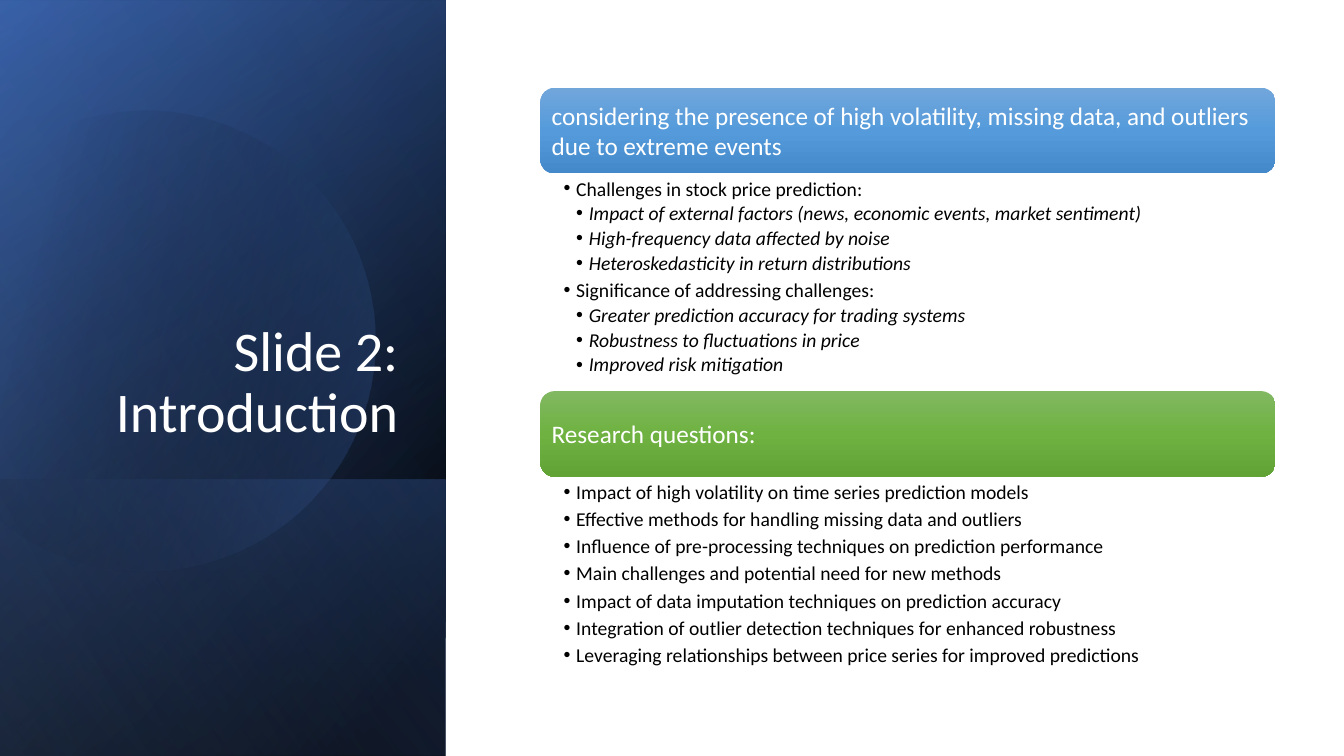
import math
from dataclasses import dataclass
from typing import NamedTuple, Optional

from lxml import etree
from pptx import Presentation, util as u
from pptx.dml.color import RGBColor
from pptx.enum import shapes, text
from pptx.oxml import ns

FONT = "Calibri"
BLACK = RGBColor(0x00, 0x00, 0x00)
WHITE = RGBColor(0xFF, 0xFF, 0xFF)
NAVY = RGBColor(0x2F, 0x55, 0x97)
BLUE = RGBColor(0x44, 0x72, 0xC4)
PALE_BLUE = RGBColor(0x8F, 0xAA, 0xDC)
SKY = (RGBColor(0x71, 0xA6, 0xDB), RGBColor(0x55, 0x9B, 0xDB), RGBColor(0x44, 0x8A, 0xCA))
GREEN = (RGBColor(0x81, 0xB8, 0x61), RGBColor(0x6F, 0xB2, 0x42), RGBColor(0x62, 0xA3, 0x36))
SECTION_X, SECTION_W, HEADING_H = 5.36, 7.29, 0.85


class Stop(NamedTuple):
    """Gradient stop: position and opacity in percent."""
    pos: int
    color: RGBColor
    opacity: int = 100


@dataclass
class Panel:
    """Layer of the left panel, a rectangle turned by 90 degrees."""
    x: float
    y: float
    w: float
    angle: int
    stops: tuple[Stop, ...]


@dataclass
class Section:
    """Coloured heading with the list under it."""
    top: float
    list_h: float
    colors: tuple[RGBColor, ...]
    heading: str
    items: tuple[tuple[int, str], ...]


PANELS = (
    Panel(-1.54, 1.54, 7.5, 50, (Stop(8, BLACK), Stop(100, NAVY))),
    Panel(-1.54, 1.55, 7.5, 30, (Stop(0, BLACK, 0), Stop(99, BLUE, 46))),
    Panel(0.84, 3.92, 2.74, 130, (Stop(2, BLUE, 29), Stop(100, BLACK, 30))),
)
VEIL = Panel(-1.54, 1.54, 7.5, 120, (Stop(0, BLACK, 0), Stop(99, PALE_BLUE, 11)))

DISC_TURN = 343.9
DISC_CENTER = (1.585, 3.345)
DISC_START = (1.49, 1.1)
# Each segment is a line (one point) or a cubic curve (three points).
DISC_SEGMENTS = (
    ((2.46, 1.12), (3.35, 1.77), (3.63, 2.75)),
    ((3.98, 3.97), (3.28, 5.23), (2.07, 5.58)),
    ((1.31, 5.8), (0.53, 5.61), (-0.03, 5.14)),
    ((-0.15, 5.03),),
    ((-0.15, 1.75),),
    ((0, 1.61),),
    ((0.23, 1.42), (0.5, 1.28), (0.8, 1.19)),
    ((1.03, 1.13), (1.26, 1.1), (1.49, 1.1)),
)

SECTIONS = (
    Section(0.87, 2.16, SKY,
            "considering the presence of high volatility, missing data, "
            "and outliers due to extreme events",
            ((1, "Challenges in stock price prediction:"),
             (2, "Impact of external factors (news, economic events, market sentiment)"),
             (2, "High-frequency data affected by noise"),
             (2, "Heteroskedasticity in return distributions"),
             (1, "Significance of addressing challenges:"),
             (2, "Greater prediction accuracy for trading systems"),
             (2, "Robustness to fluctuations in price"),
             (2, "Improved risk mitigation"))),
    Section(3.88, 2.0, GREEN, "Research questions:",
            ((1, "Impact of high volatility on time series prediction models"),
             (1, "Effective methods for handling missing data and outliers"),
             (1, "Influence of pre-processing techniques on prediction performance"),
             (1, "Main challenges and potential need for new methods"),
             (1, "Impact of data imputation techniques on prediction accuracy"),
             (1, "Integration of outlier detection techniques for enhanced robustness"),
             (1, "Leveraging relationships between price series for improved predictions"))),
)


def paint(sp, stops, angle: float) -> None:
    """Give a shape a linear gradient, no line and no shadow."""
    sp.shadow.inherit = False
    sp.line.fill.background()
    sp.fill.background()
    grad = etree.Element(ns.qn("a:gradFill"), rotWithShape="1")
    gs_list = etree.SubElement(grad, ns.qn("a:gsLst"))
    for stop in stops:
        gs = etree.SubElement(gs_list, ns.qn("a:gs"), pos=str(stop.pos * 1000))
        clr = etree.SubElement(gs, ns.qn("a:srgbClr"), val=str(stop.color))
        if stop.opacity < 100:
            etree.SubElement(clr, ns.qn("a:alpha"), val=str(stop.opacity * 1000))
    etree.SubElement(grad, ns.qn("a:lin"), ang=str(int(angle * 60000)), scaled="0")
    sp_pr = sp.element.spPr
    sp_pr.replace(sp_pr.find(ns.qn("a:noFill")), grad)


def place(sp, x: float, y: float, w: float, h: float) -> None:
    """Move and size a shape, in inches."""
    sp.left, sp.top, sp.width, sp.height = map(u.Inches, (x, y, w, h))


def set_frame(sp, anchor, insets: tuple[float, float, float, float]):
    """Prepare a text frame; insets are left, top, right, bottom."""
    tf = sp.text_frame
    tf.word_wrap = True
    tf.auto_size = text.MSO_AUTO_SIZE.NONE
    tf.vertical_anchor = anchor
    tf.margin_left, tf.margin_top, tf.margin_right, tf.margin_bottom = map(u.Inches, insets)
    return tf


def add_run(p, words: str, size: int, color: RGBColor, italic: Optional[bool] = None) -> None:
    """Add one formatted run to a paragraph."""
    r = p.add_run()
    r.text = words
    r.font.name, r.font.size, r.font.italic = FONT, u.Pt(size), italic
    r.font.color.rgb = color


def draw_panel(s, panel: Panel) -> None:
    """Draw one turned and mirrored layer of the left panel."""
    sp = s.shapes.add_shape(shapes.MSO_SHAPE.RECTANGLE, *map(
        u.Inches, (panel.x, panel.y, panel.w, 4.42)))
    sp.rotation = 90
    sp.element.spPr.xfrm.set("flipH", "1")
    paint(sp, panel.stops, panel.angle)


def turn_back(point: tuple[float, float]) -> tuple[int, int]:
    """Undo the disc's rotation for a point and return it as lengths."""
    a = math.radians(360 - DISC_TURN)
    cx, cy = DISC_CENTER
    dx, dy = point[0] - cx, point[1] - cy
    return (u.Inches(cx + dx * math.cos(a) - dy * math.sin(a)),
            u.Inches(cy + dx * math.sin(a) + dy * math.cos(a)))


def draw_disc(s, steps: int = 24) -> None:
    """Draw the cut disc, with its curves split into short lines."""
    points, last = [], DISC_START
    for segment in DISC_SEGMENTS:
        if len(segment) == 3:
            for t in (i / steps for i in range(1, steps)):
                weights = ((1 - t) ** 3, 3 * t * (1 - t) ** 2, 3 * t * t * (1 - t), t ** 3)
                points.append(tuple(
                    sum(k * q[axis] for k, q in zip(weights, (last, *segment)))
                    for axis in (0, 1)))
        last = segment[-1]
        points.append(last)
    fb = s.shapes.build_freeform(*turn_back(DISC_START))
    fb.add_line_segments([turn_back(q) for q in points], close=True)
    sp = fb.convert_to_shape()
    sp.rotation = DISC_TURN
    paint(sp, (Stop(29, BLACK, 0), Stop(100, BLUE, 43)), 30)


def draw_section(s, body, section: Section) -> None:
    """Draw a heading bar and fill the body placeholder under it."""
    bar = s.shapes.add_shape(shapes.MSO_SHAPE.ROUNDED_RECTANGLE, *map(
        u.Inches, (SECTION_X, section.top, SECTION_W, HEADING_H)))
    paint(bar, [Stop(50 * i, c) for i, c in enumerate(section.colors)], 90)
    p = set_frame(bar, text.MSO_ANCHOR.MIDDLE, (0.07,) * 4).paragraphs[0]
    p.alignment = text.PP_ALIGN.LEFT
    add_run(p, section.heading, 18, WHITE)

    place(body, SECTION_X, section.top + HEADING_H, SECTION_W, section.list_h)
    tf = set_frame(body, text.MSO_ANCHOR.TOP, (0.23, 0.03, 0.14, 0.03))
    for i, (level, words) in enumerate(section.items):
        p = tf.add_paragraph() if i else tf.paragraphs[0]
        p.level = level
        p.line_spacing = 0.9 if level == 2 else 1.0
        p.space_before, p.space_after = u.Pt(0), u.Pt(2.6)
        p_pr = p._p.get_or_add_pPr()
        p_pr.set("marL", str(u.Inches(0.125 * level)))
        p_pr.set("indent", str(u.Inches(-0.125)))
        etree.SubElement(p_pr, ns.qn("a:buChar"), char="•")
        add_run(p, words, 14, BLACK, level == 2)


def draw_title(title) -> None:
    """Place the title above the panel layers and fill it."""
    title.element.getparent().append(title.element)
    place(title, 0.64, 1.84, 3.41, 2.62)
    p = set_frame(title, text.MSO_ANCHOR.BOTTOM, (0.1, 0.05, 0.1, 0.05)).paragraphs[0]
    p.alignment, p.line_spacing = text.PP_ALIGN.RIGHT, 0.9
    add_run(p, "Slide 2: Introduction", 40, WHITE)


prs = Presentation()
prs.slide_width, prs.slide_height = u.Inches(13.33), u.Inches(7.5)
s = prs.slides.add_slide(prs.slide_layouts.get_by_name("Two Content"))
title, *bodies = s.placeholders
for panel in PANELS:
    draw_panel(s, panel)
draw_disc(s)
draw_panel(s, VEIL)
draw_title(title)
for body, section in zip(bodies, SECTIONS):
    draw_section(s, body, section)
prs.save("out.pptx")
